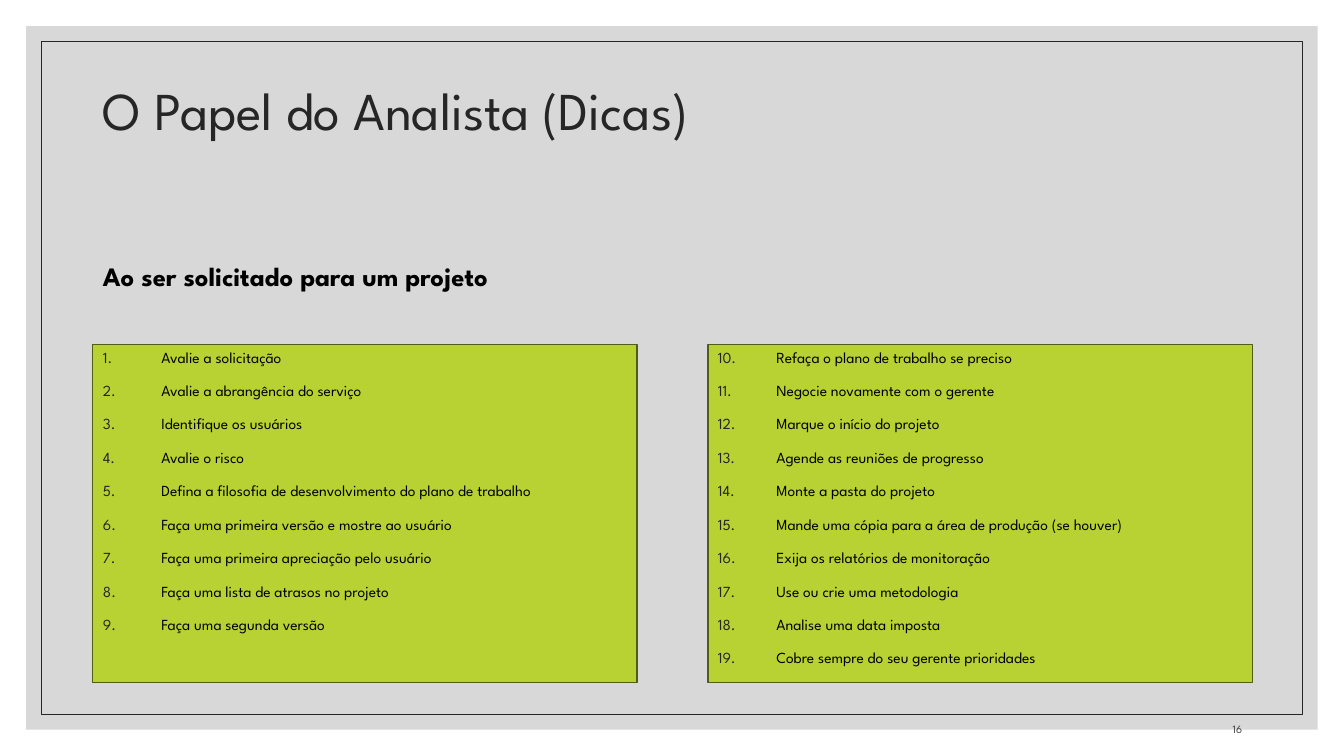
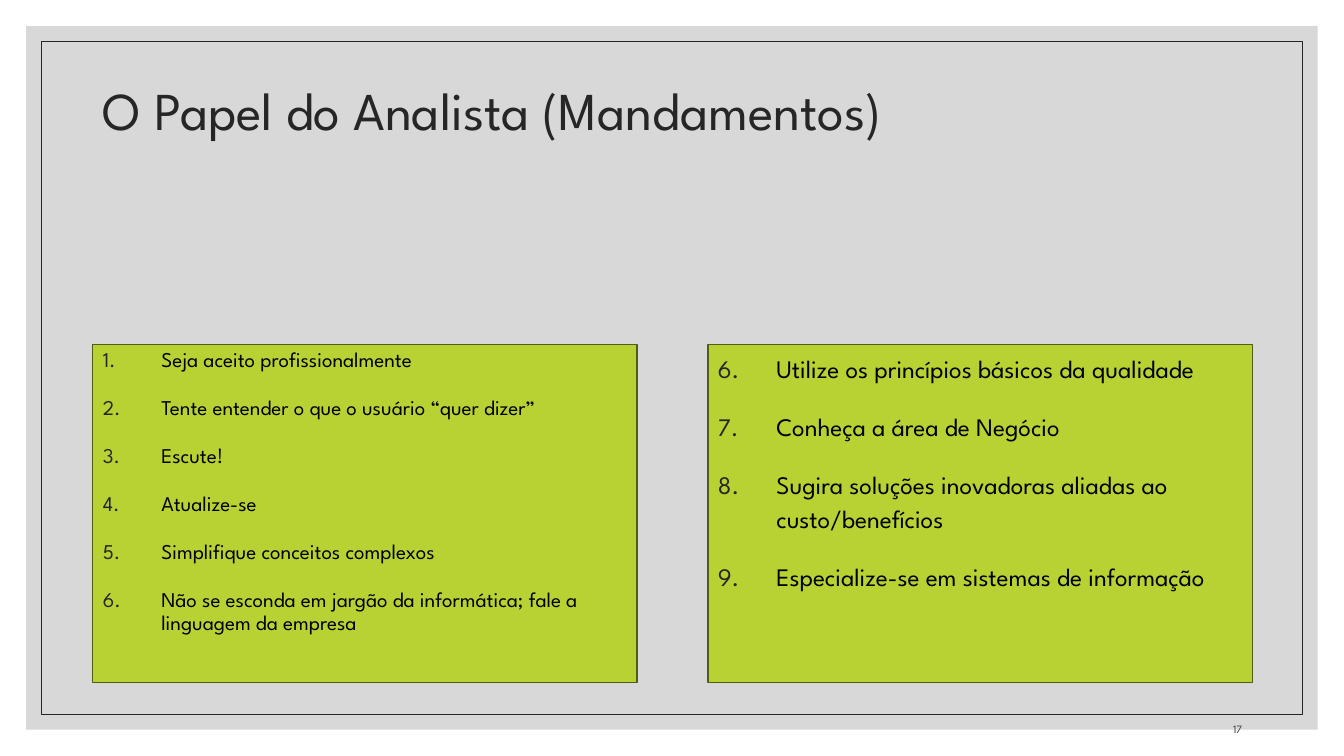
from dataclasses import dataclass

from lxml import etree
from pptx import Presentation
from pptx.dml.color import RGBColor
from pptx.enum.shapes import MSO_SHAPE
from pptx.enum.text import MSO_ANCHOR, MSO_AUTO_SIZE, PP_ALIGN
from pptx.oxml.ns import qn
from pptx.util import Inches, Pt

RECTANGLE = MSO_SHAPE.RECTANGLE
TOP, MIDDLE, BOTTOM = MSO_ANCHOR.TOP, MSO_ANCHOR.MIDDLE, MSO_ANCHOR.BOTTOM
LEFT, RIGHT = PP_ALIGN.LEFT, PP_ALIGN.RIGHT
NO_AUTOFIT = MSO_AUTO_SIZE.NONE

FONT = "League Spartan"
BACKDROP, INK, BLACK, MUTED = "BFBFBF", "262626", "000000", "404040"
PANEL_FILL, PANEL_LINE = "B8D233", "515C16"

WIDTH, HEIGHT = 13.33, 7.5
MARGIN, COLUMN, GAP = 0.92, 5.4, 0.7
CONTENT = 2 * COLUMN + GAP
PANEL_TOP, PANEL_HEIGHT = 3.42, 3.35
HANGING = 0.58
TWO_CONTENT, COMPARISON = 3, 4


@dataclass(frozen=True)
class Panel:
    placeholder: int
    items: tuple[str, ...]
    size: float
    before: float
    spacing: float = 0.9
    start: int = 1


@dataclass(frozen=True)
class Page:
    layout: int
    number: int
    title: str
    panels: tuple[Panel, Panel]
    subtitle: str = ""


PAGES = (
    Page(COMPARISON, 16, "O Papel do Analista (Dicas)", (
        Panel(2, (
            "Avalie a solicitação",
            "Avalie a abrangência do serviço",
            "Identifique os usuários",
            "Avalie o risco",
            "Defina a filosofia de desenvolvimento do plano de trabalho",
            "Faça uma primeira versão e mostre ao usuário",
            "Faça uma primeira apreciação pelo usuário",
            "Faça uma lista de atrasos no projeto",
            "Faça uma segunda versão",
        ), size=11, before=12),
        Panel(4, (
            "Refaça o plano de trabalho se preciso",
            "Negocie novamente com o gerente",
            "Marque o início do projeto",
            "Agende as reuniões de progresso",
            "Monte a pasta do projeto",
            "Mande uma cópia para a área de produção (se houver)",
            "Exija os relatórios de monitoração",
            "Use ou crie uma metodologia",
            "Analise uma data imposta",
            "Cobre sempre do seu gerente prioridades",
        ), size=11, before=12, start=10),
    ), subtitle="Ao ser solicitado para um projeto"),
    Page(TWO_CONTENT, 17, "O Papel do Analista (Mandamentos)", (
        Panel(1, (
            "Seja aceito profissionalmente",
            "Tente entender o que o usuário “quer dizer”",
            "Escute!",
            "Atualize-se",
            "Simplifique conceitos complexos",
            "Não se esconda em jargão da informática; fale a linguagem da empresa",
        ), size=15, before=18),
        Panel(2, (
            "Utilize os princípios básicos da qualidade",
            "Conheça a área de Negócio",
            "Sugira soluções inovadoras aliadas ao custo/benefícios",
            "Especialize-se em sistemas de informação",
        ), size=18, before=18, spacing=1.1, start=6),
    )),
)


def color(value: str) -> RGBColor:
    return RGBColor.from_string(value)


def place(shape, left: float, top: float, width: float, height: float) -> None:
    shape.left, shape.top = Inches(left), Inches(top)
    shape.width, shape.height = Inches(width), Inches(height)


def write(shape, text: str, size: float, ink: str, anchor=MIDDLE, align=LEFT,
          spacing: float = 1.0, before: float = 0, after: float = 0,
          bold: bool = False) -> None:
    """Fill a shape with one paragraph per line of text, all formatted alike."""
    frame = shape.text_frame
    frame.text = text
    frame.word_wrap = True
    frame.auto_size = NO_AUTOFIT
    frame.vertical_anchor = anchor
    for para in frame.paragraphs:
        para.alignment = align
        para.line_spacing = spacing
        para.space_before, para.space_after = Pt(before), Pt(after)
        for span in para.runs:
            span.font.name, span.font.size = FONT, Pt(size)
            span.font.bold = bold
            span.font.color.rgb = color(ink)


def number_paragraph(para, start: int) -> None:
    properties = para._p.get_or_add_pPr()
    properties.set("marL", str(Inches(HANGING)))
    properties.set("indent", str(-Inches(HANGING)))
    bullet_color = etree.SubElement(properties, qn("a:buClr"))
    etree.SubElement(bullet_color, qn("a:srgbClr"), val=INK)
    etree.SubElement(properties, qn("a:buFont"), typeface=FONT)
    etree.SubElement(properties, qn("a:buAutoNum"), type="arabicPeriod",
                     startAt=str(start))


def add_master_frame(deck, page) -> None:
    """Draw the backdrop and its border, then move both to the slide master."""
    tree = deck.slide_master.element.cSld.spTree
    for order, inset in enumerate((0.26, 0.41)):
        box = page.shapes.add_shape(
            RECTANGLE, Inches(inset), Inches(inset),
            Inches(WIDTH - 2 * inset), Inches(HEIGHT - 2 * inset))
        box.shadow.inherit = False
        if order == 0:
            box.fill.solid()
            box.fill.fore_color.rgb = color(BACKDROP)
            tint = box.element.spPr.find(f".//{qn('a:srgbClr')}")
            etree.SubElement(tint, qn("a:alpha"), val="60000")
            box.line.fill.background()
        else:
            box.fill.background()
            box.line.color.rgb = color(INK)
            box.line.width = Pt(0.5)
        box.element.nvSpPr.cNvPr.set("id", str(100 + order))
        tree.insert(2 + order, box.element)


def add_panel(page, panel: Panel, column: int) -> None:
    box = page.placeholders[panel.placeholder]
    place(box, MARGIN + column * (COLUMN + GAP), PANEL_TOP, COLUMN, PANEL_HEIGHT)
    box.fill.solid()
    box.fill.fore_color.rgb = color(PANEL_FILL)
    box.line.color.rgb = color(PANEL_LINE)
    box.line.width = Pt(1)
    write(box, "\n".join(panel.items), panel.size, BLACK, anchor=TOP,
          spacing=panel.spacing, before=panel.before)
    for para in box.text_frame.paragraphs:
        number_paragraph(para, panel.start)


def add_page_number(page, number: int) -> None:
    width = 3
    box = page.shapes.add_textbox(Inches(MARGIN + CONTENT - width), Inches(6.95),
                                  Inches(width), Inches(0.4))
    write(box, str(number), 8, MUTED, anchor=BOTTOM, align=RIGHT, after=6)


def add_page(deck, content: Page):
    page = deck.slides.add_slide(deck.slide_layouts[content.layout])
    title = page.shapes.title
    place(title, MARGIN, 0.4, CONTENT, 1.45)
    write(title, content.title, 38, INK, spacing=0.9)
    if content.subtitle:
        subtitle = page.placeholders[1]
        place(subtitle, MARGIN, 2.2, 7.27, 1.04)
        write(subtitle, content.subtitle, 19, BLACK, spacing=1.1, bold=True)
    for column, panel in enumerate(content.panels):
        add_panel(page, panel, column)
    for placeholder in list(page.placeholders):
        if not placeholder.text_frame.text:
            placeholder.element.getparent().remove(placeholder.element)
    add_page_number(page, content.number)
    return page


def main() -> None:
    deck = Presentation()
    deck.slide_width, deck.slide_height = Inches(WIDTH), Inches(HEIGHT)
    pages = [add_page(deck, content) for content in PAGES]
    add_master_frame(deck, pages[0])
    deck.save("out.pptx")


if __name__ == "__main__":
    main()
